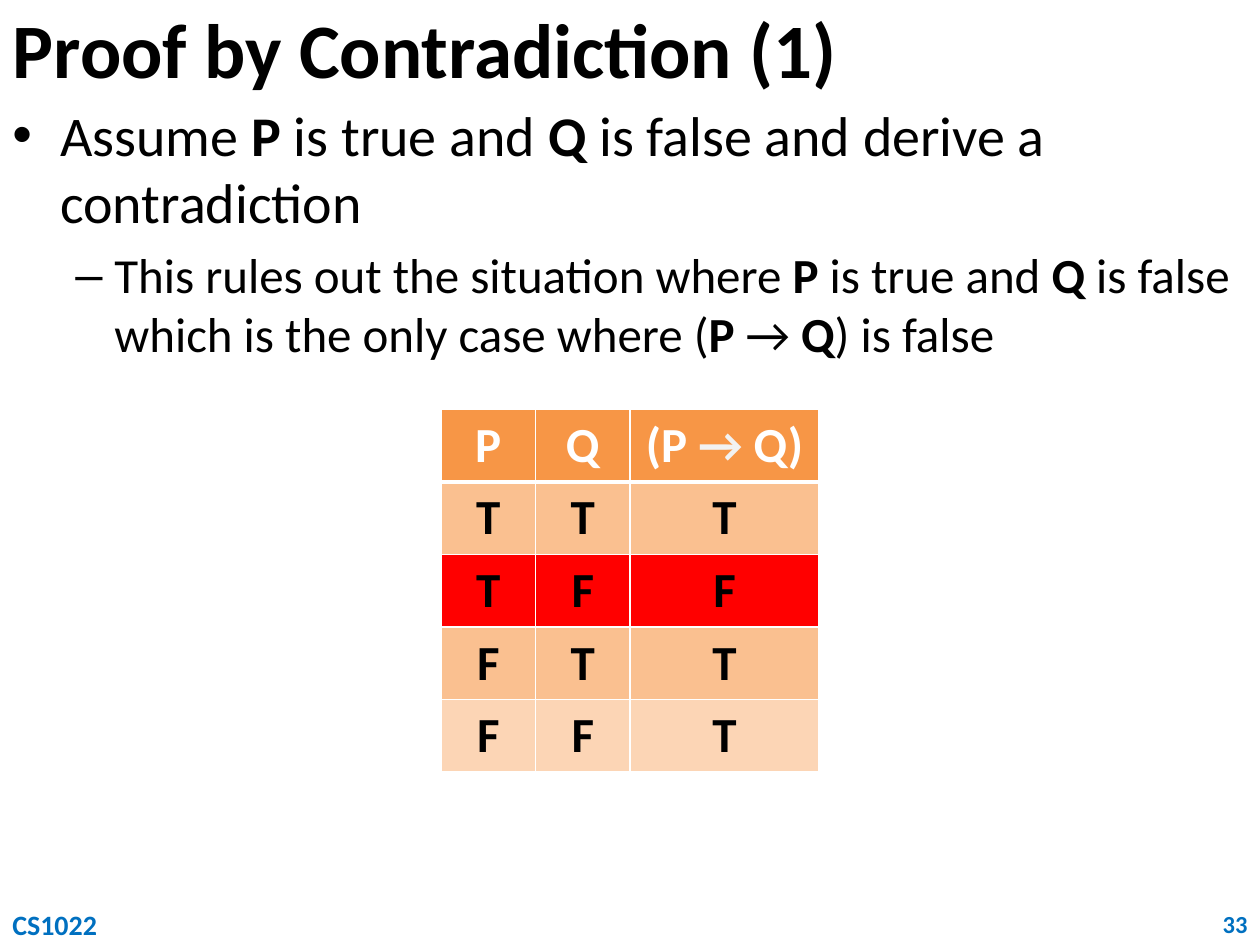
"""Build the slide on proof by contradiction with its truth table."""
from lxml.etree import SubElement
from pptx import Presentation
from pptx.dml.color import RGBColor
from pptx.enum.text import MSO_ANCHOR as Anchor, MSO_AUTO_SIZE as Fit, PP_ALIGN as Align
from pptx.oxml.ns import qn
from pptx.util import Inches, Pt

TITLE = "Proof by Contradiction (1)"
POINTS = [
    {"size": 32, "level": 0, "mark": "•", "left": 0.38, "hang": 0.38, "before": 0,
     "runs": ["Assume ", "P", " is true and ", "Q", " is false and derive a contradiction"]},
    {"size": 28, "level": 1, "mark": "–", "left": 0.81, "hang": 0.31, "before": 5.6,
     "runs": ["This rules out the situation where ", "P", " is true and ", "Q",
              " is false which is the only case where (", "P", " → ", "Q", ") is false"]},
]
HEAD = [["P"], ["Q"], ["(P ", "→", " Q)"]]
TRUTH = ["TTT", "TFF", "FTT", "FFT"]
FILLS = ["F79646", "FAC090", "FF0000", "FAC090", "FCD5B5"]
WIDTHS = [0.75, 0.75, 1.5]
ROW = 0.57
FEET = [
    ("33", (9.58, 7.17, 0.42, 0.33), 14, Align.RIGHT),
    ("CS1022", (0, 7.17, 0.92, 0.33), 16, Align.LEFT),
]
BLACK, WHITE, PALE, BLUE = "000000", "FFFFFF", "F2F2F2", "0070C0"


def rgb(code):
    return RGBColor.from_string(code)


def add_run(para, text, size, color, bold):
    run = para.add_run()
    run.text = text
    looks = {"name": "Calibri", "size": Pt(size), "bold": bold}
    for key, value in looks.items():
        setattr(run.font, key, value)
    run.font.color.rgb = rgb(color)


def set_frame(shape, anchor):
    frame = shape.text_frame
    looks = {"word_wrap": True, "auto_size": Fit.NONE, "vertical_anchor": anchor}
    for key, value in looks.items():
        setattr(frame, key, value)
    return frame


def add_box(slide, place, anchor=Anchor.TOP):
    return set_frame(slide.shapes.add_textbox(*map(Inches, place)), anchor)


def add_title(slide):
    title = slide.shapes.title
    place = {"left": 0, "top": 0, "width": 10, "height": 0.75}
    for key, value in place.items():
        setattr(title, key, Inches(value))
    para = set_frame(title, Anchor.MIDDLE).paragraphs[0]
    para.alignment = Align.LEFT
    add_run(para, TITLE, 44, BLACK, True)


def add_points(slide):
    frame = add_box(slide, (0, 0.75, 10, 6.42))
    for i, point in enumerate(POINTS):
        para = frame.add_paragraph() if i else frame.paragraphs[0]
        para.level = point["level"]
        para.space_before = Pt(point["before"])
        props = para._p.get_or_add_pPr()
        props.set("marL", str(Inches(point["left"])))
        props.set("indent", str(-Inches(point["hang"])))
        SubElement(props, qn("a:buFont"), typeface="Arial")
        SubElement(props, qn("a:buChar"), char=point["mark"])
        for text in point["runs"]:
            add_run(para, text, point["size"], BLACK, text in ("P", "Q"))


def add_edge(cell, side, width):
    props = cell._tc.get_or_add_tcPr()
    line = SubElement(props, qn("a:ln" + side), w=str(Pt(width)))
    fill = SubElement(line, qn("a:solidFill"))
    SubElement(fill, qn("a:srgbClr"), val=WHITE)


def add_truth(slide):
    rows = [HEAD] + [[[mark] for mark in line] for line in TRUTH]
    place = (3.5, 3.25, sum(WIDTHS), ROW * len(rows))
    table = slide.shapes.add_table(len(rows), len(WIDTHS), *map(Inches, place)).table
    for col, width in zip(table.columns, WIDTHS):
        col.width = Inches(width)
    for r, row in enumerate(rows):
        table.rows[r].height = Inches(ROW)
        for c, parts in enumerate(row):
            cell = table.cell(r, c)
            edges = {"L": 1, "R": 1, "T": 3 if r == 1 else 1, "B": 1 if r else 3}
            for side, width in edges.items():
                add_edge(cell, side, width)
            cell.fill.solid()
            cell.fill.fore_color.rgb = rgb(FILLS[r])
            para = cell.text_frame.paragraphs[0]
            para.alignment = Align.CENTER
            for text in parts:
                color = BLACK if r else PALE if text == "→" else WHITE
                add_run(para, text, 28, color, True)


def add_feet(slide):
    for text, place, size, align in FEET:
        para = add_box(slide, place, Anchor.MIDDLE).paragraphs[0]
        para.alignment = align
        add_run(para, text, size, BLUE, True)


def main():
    deck = Presentation()
    deck.slide_width, deck.slide_height = Inches(10), Inches(7.5)
    slide = deck.slides.add_slide(deck.slide_layouts[5])
    for build in (add_title, add_points, add_feet, add_truth):
        build(slide)
    deck.save("out.pptx")


if __name__ == "__main__":
    main()
